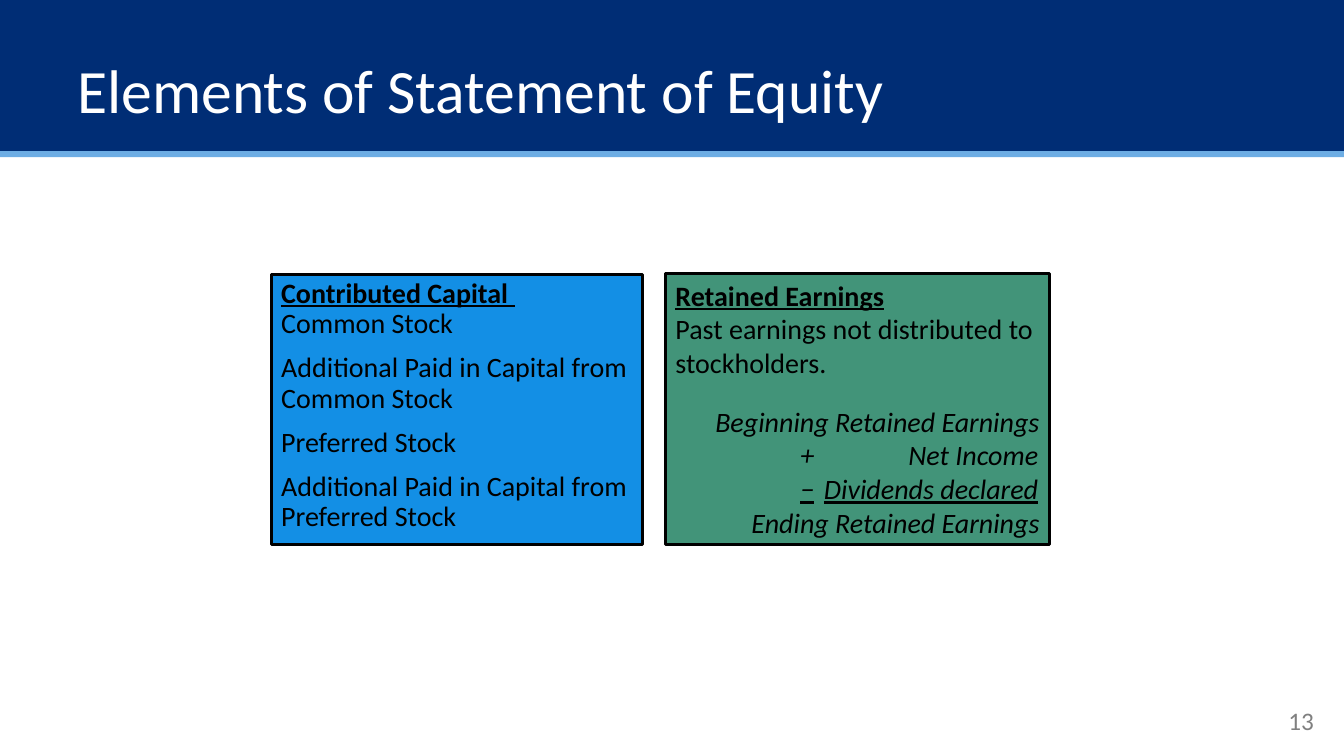
from lxml import etree
from pptx import Presentation
from pptx.dml.color import RGBColor
from pptx.enum.shapes import MSO_SHAPE
from pptx.enum.text import MSO_ANCHOR, PP_ALIGN
from pptx.oxml.ns import qn
from pptx.util import Inches, Pt

RECTANGLE = MSO_SHAPE.RECTANGLE
LEFT, RIGHT = PP_ALIGN.LEFT, PP_ALIGN.RIGHT
TOP, MIDDLE = MSO_ANCHOR.TOP, MSO_ANCHOR.MIDDLE

NAVY = RGBColor(0x00, 0x2D, 0x75)
SKY = RGBColor(0x6D, 0xAD, 0xE4)
BLUE = RGBColor(0x13, 0x8F, 0xE5)
GREEN = RGBColor(0x42, 0x94, 0x79)
GRAY = RGBColor(0x80, 0x80, 0x80)
BLACK = RGBColor(0x00, 0x00, 0x00)
WHITE = RGBColor(0xFF, 0xFF, 0xFF)

HEADING = {"bold": True, "underline": True}
ITALIC = {"italic": True}
TOTAL_RULE = {"italic": True, "underline": True}
# Rule start, sign column and amount column of the earnings sum
SUM_TABS = [(0.41, "l"), (1.24, "l"), (3.6, "r")]


class SlideBuilder:
    def __init__(self, page, font_name):
        self.page = page
        self.font_name = font_name

    def rectangle(self, left, top, width, height, fill, border=None):
        box = self.page.shapes.add_shape(
            RECTANGLE, Inches(left), Inches(top), Inches(width), Inches(height))
        box.shadow.inherit = False
        box.fill.solid()
        box.fill.fore_color.rgb = fill
        if border is None:
            box.line.fill.background()
        else:
            box.line.color.rgb = border
            box.line.width = Pt(2.25)
        return box

    def text_box(self, left, top, width, height):
        return self.page.shapes.add_textbox(
            Inches(left), Inches(top), Inches(width), Inches(height))

    def add_text(self, box, paragraphs, size, color, anchor=TOP):
        """Fill a box with (spans, paragraph format, tab stops) entries."""
        frame = box.text_frame
        frame.word_wrap = True
        frame.vertical_anchor = anchor
        for index, (spans, layout, tabs) in enumerate(paragraphs):
            para = frame.add_paragraph() if index else frame.paragraphs[0]
            for name, value in {"alignment": LEFT, **layout}.items():
                setattr(para, name, value)
            self.add_tabs(para, tabs)
            for text, style in spans:
                if text == "\n":
                    para.add_line_break()
                else:
                    self.add_span(para, text, size, color, style)

    def add_span(self, para, text, size, color, style):
        span = para.add_run()
        span.text = text
        span.font.color.rgb = color
        font_values = {"name": self.font_name, "size": Pt(size), **style}
        for name, value in font_values.items():
            setattr(span.font, name, value)

    def add_tabs(self, para, tabs):
        if tabs:
            tab_list = etree.SubElement(
                para._p.get_or_add_pPr(), qn("a:tabLst"))
            for position, side in tabs:
                etree.SubElement(tab_list, qn("a:tab"),
                                 pos=str(Inches(position)), algn=side)


def main():
    deck = Presentation()
    deck.slide_width, deck.slide_height = Inches(13.33), Inches(7.5)
    page = deck.slides.add_slide(deck.slide_layouts[6])
    builder = SlideBuilder(page, "Calibri")

    builder.rectangle(0, 0, 13.33, 1.5, NAVY)
    builder.rectangle(0, 1.5, 13.33, 0.06, SKY)

    title = builder.text_box(0.67, 0.55, 9, 0.62)
    builder.add_text(title, [([("Elements of Statement of Equity", {})],
                              {"line_spacing": 0.9}, [])], 44, WHITE)
    number = builder.text_box(10.13, 6.95, 3, 0.4)
    builder.add_text(number, [([("13", {})], {"alignment": RIGHT}, [])],
                     18, GRAY, MIDDLE)

    tight = {"line_spacing": 0.9}
    spaced = {**tight, "space_before": Pt(10)}
    capital_items = ["Additional Paid in Capital from Common Stock",
                     "Preferred Stock",
                     "Additional Paid in Capital from Preferred Stock"]
    capital = [([("Contributed Capital ", HEADING), ("\n", {}),
                 ("Common Stock", {})], tight, [])]
    capital += [([(item, {})], spaced, []) for item in capital_items]
    capital_box = builder.rectangle(2.69, 2.72, 3.68, 2.68, BLUE, BLACK)
    builder.add_text(capital_box, capital, 20, BLACK)

    earnings = [
        ([("Retained Earnings", HEADING), ("\n", {}),
          ("Past earnings not distributed to stockholders.", {})], {}, []),
        ([("Beginning Retained Earnings", ITALIC)],
         {"alignment": RIGHT, "space_before": Pt(18)}, []),
        ([("\t\t+\tNet Income", ITALIC)], {}, SUM_TABS),
        ([("\t", ITALIC), ("\t−\tDividends declared", TOTAL_RULE)],
         {}, SUM_TABS),
        ([("Ending Retained Earnings", ITALIC)], {"alignment": RIGHT}, []),
    ]
    earnings_box = builder.rectangle(6.6, 2.71, 3.81, 2.69, GREEN, BLACK)
    builder.add_text(earnings_box, earnings, 20, BLACK)

    deck.save("out.pptx")


if __name__ == "__main__":
    main()
